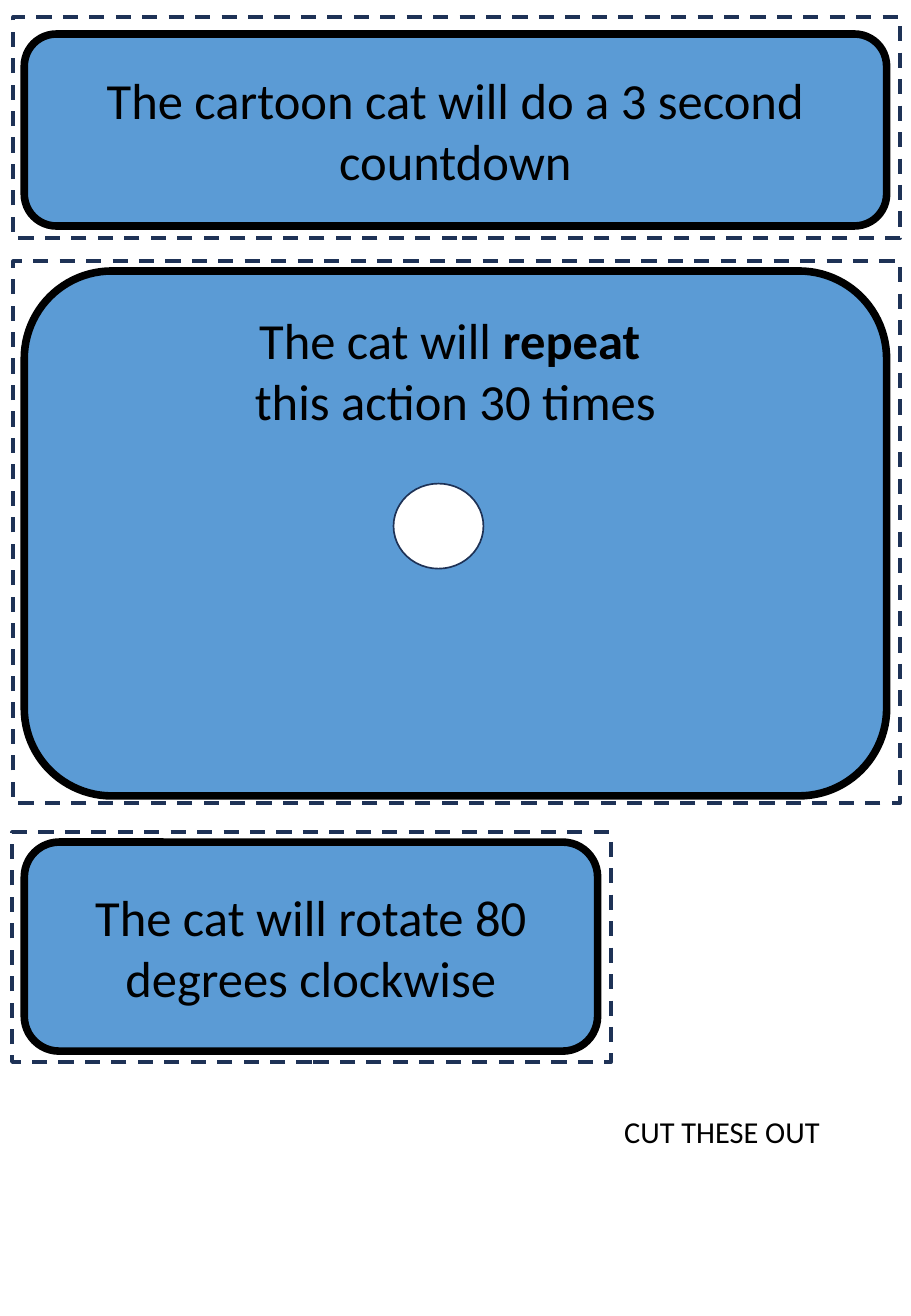
from pptx import Presentation
from pptx.dml.color import RGBColor
from pptx.enum.dml import MSO_LINE_DASH_STYLE as Dash
from pptx.enum.shapes import MSO_SHAPE as Shape
from pptx.enum.text import MSO_ANCHOR as Anchor, MSO_AUTO_SIZE as AutoSize, PP_ALIGN as Align
from pptx.util import Inches, Pt

BLACK = RGBColor(0x00, 0x00, 0x00)
WHITE = RGBColor(0xFF, 0xFF, 0xFF)
BLUE = RGBColor(0x5B, 0x9B, 0xD5)
NAVY = RGBColor(0x1E, 0x32, 0x56)
INSET = 0.1


def add_outlined(page, kind, box, fill, line, width):
    shape = page.shapes.add_shape(kind, *map(Inches, box))
    shape.shadow.inherit = False
    shape.fill.solid()
    shape.fill.fore_color.rgb = fill
    shape.line.color.rgb = line
    shape.line.width = Pt(width)
    return shape


def style_paragraph(para, size, align):
    para.alignment = align
    para.font.name = "Calibri"
    para.font.size = Pt(size)
    para.font.color.rgb = BLACK


def add_cut_line(page, box):
    frame = add_outlined(page, Shape.RECTANGLE, box, WHITE, NAVY, 2.25)
    frame.line.dash_style = Dash.DASH


def add_card(page, box, lines, anchor):
    """Each line is a list of (text, bold) spans."""
    card = add_outlined(page, Shape.ROUNDED_RECTANGLE, box, BLUE, BLACK, 4.5)
    card.adjustments[0] = 0.167
    frame = card.text_frame
    frame.word_wrap = True
    frame.vertical_anchor = anchor
    frame.margin_left = frame.margin_right = Inches(INSET)
    frame.margin_top = frame.margin_bottom = Inches(INSET)
    for index, spans in enumerate(lines):
        para = frame.add_paragraph() if index else frame.paragraphs[0]
        style_paragraph(para, 30, Align.CENTER)
        for text, bold in spans:
            span = para.add_run()
            span.text = text
            span.font.bold = bold


def add_hole(page, card_box):
    left, top, _, _ = card_box
    hole_box = (left + 3.04, top + 1.75, 0.74, 0.7)
    add_outlined(page, Shape.OVAL, hole_box, WHITE, NAVY, 1)


def add_instruction(page, box, text):
    label = page.shapes.add_textbox(*map(Inches, box))
    frame = label.text_frame
    frame.word_wrap = True
    frame.auto_size = AutoSize.SHAPE_TO_FIT_TEXT
    para = frame.paragraphs[0]
    para.text = text
    style_paragraph(para, 18, Align.LEFT)


def main():
    deck = Presentation()
    deck.slide_width, deck.slide_height = Inches(7.5), Inches(10.83)
    page = deck.slides.add_slide(deck.slide_layouts[6])

    # Dashed cutting lines
    for box in ((0.11, 2.15, 7.3, 4.46), (0.1, 6.85, 4.93, 1.89), (0.11, 0.14, 7.3, 1.82)):
        add_cut_line(page, box)

    # Action cards
    repeat_box = (0.2, 2.23, 7.1, 4.32)
    add_card(page, (0.2, 0.28, 7.1, 1.58),
             [[("The cartoon cat will do a 3 second countdown", False)]], Anchor.MIDDLE)
    add_card(page, repeat_box,
             [[("The cat will ", False), ("repeat ", True)],
              [("this action 30 times", False)]], Anchor.TOP)
    add_card(page, (0.2, 6.93, 4.72, 1.72),
             [[("The cat will rotate 80 degrees clockwise", False)]], Anchor.MIDDLE)

    # Instruction and the hole in the repeat card
    add_instruction(page, (5.04, 9.11, 2.37, 0.4), "CUT THESE OUT")
    add_hole(page, repeat_box)

    deck.save("out.pptx")


if __name__ == "__main__":
    main()
